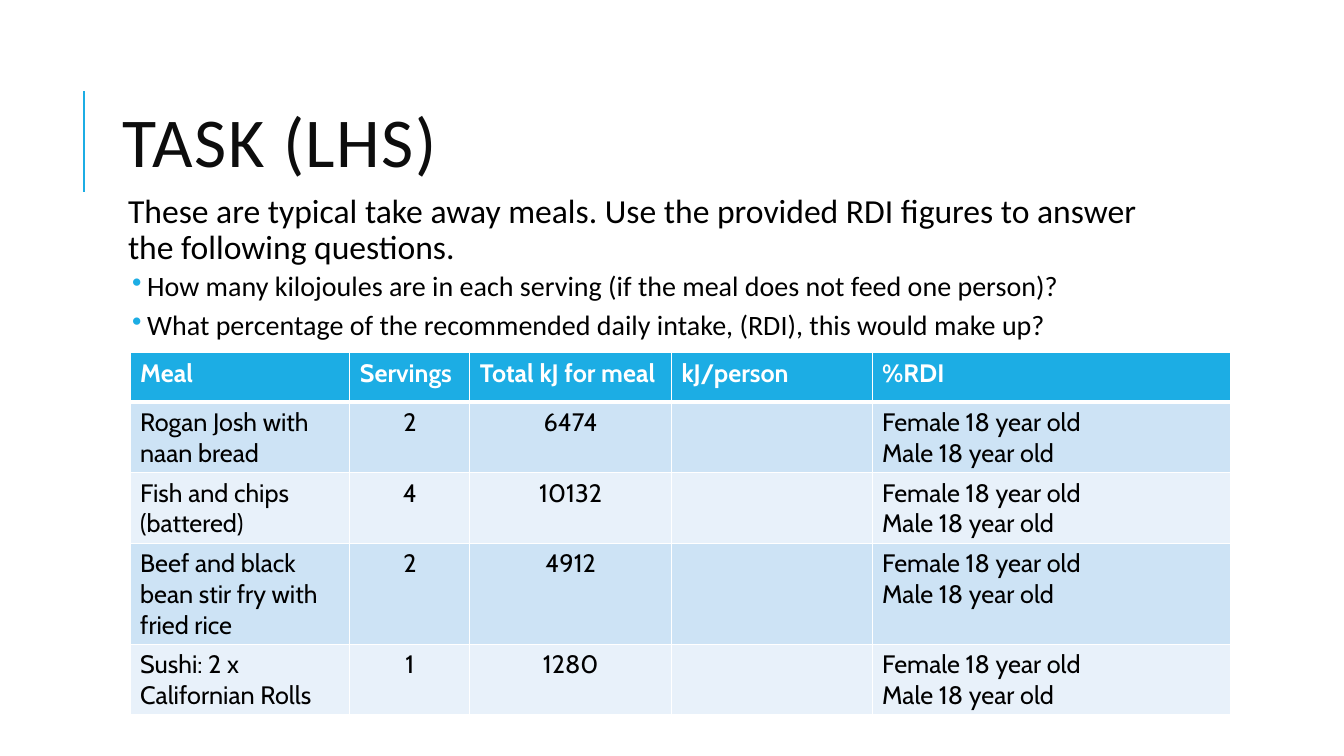
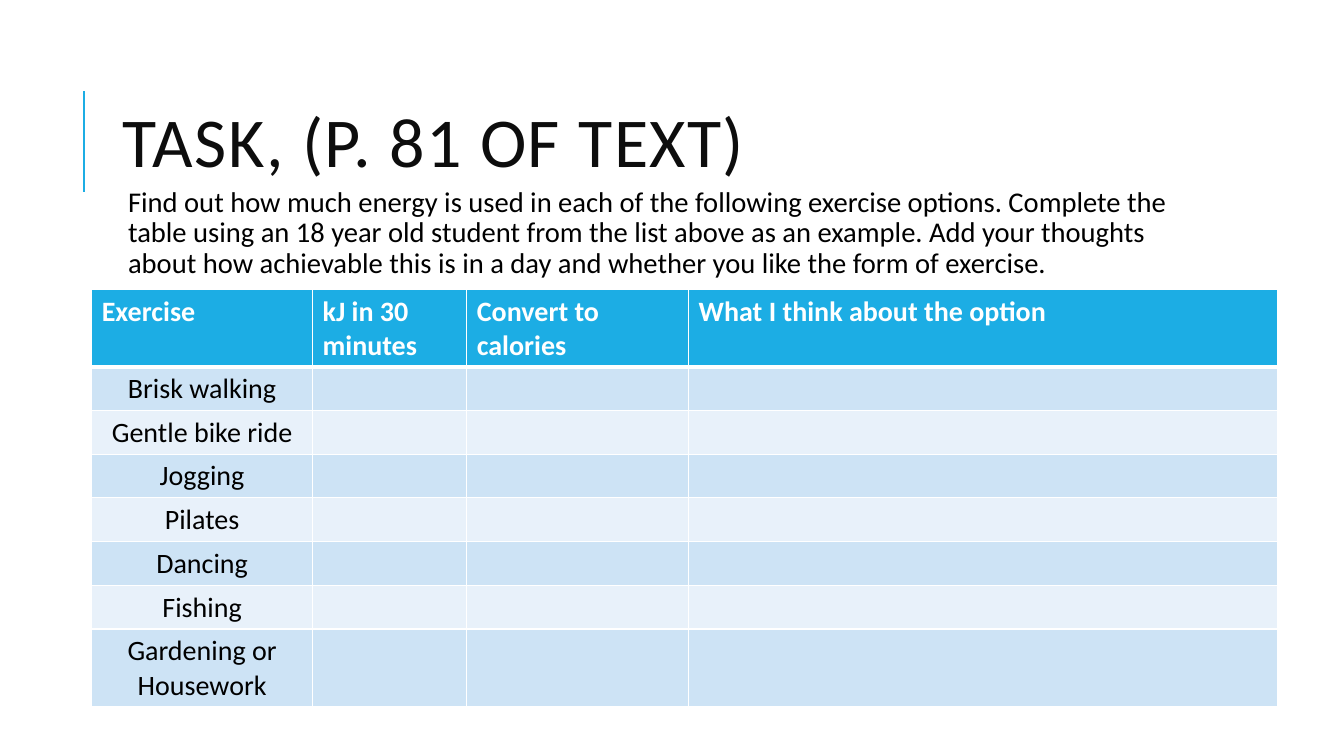
from lxml.etree import SubElement
from pptx import Presentation
from pptx.dml.color import RGBColor
from pptx.enum.shapes import MSO_CONNECTOR
from pptx.enum.text import MSO_ANCHOR, PP_ALIGN
from pptx.oxml.ns import qn
from pptx.util import Inches, Pt

ACCENT = "1CADE4"
WHITE = "FFFFFF"
BLACK = "000000"
TITLE_COLOR = "0D0D0D"
BANDS = ("CDE3F5", "E8F1FA")
BODY_FONT = "Calibri"
AGES = "Female 18 year old\nMale 18 year old"

MEAL_ROWS = [
    ("Meal", "Servings", "Total kJ for meal", "kJ/person", "%RDI"),
    ("Rogan Josh with naan bread", "2", "6474", "", AGES),
    ("Fish and chips (battered)", "4", "10132", "", AGES),
    ("Beef and black bean stir fry with fried rice", "2", "4912", "", AGES),
    ("Sushi: 2 x Californian Rolls", "1", "1280", "", AGES),
]
EXERCISES = ("Brisk walking", "Gentle bike ride", "Jogging", "Pilates",
             "Dancing", "Fishing", "Gardening or Housework")
EXERCISE_ROWS = [
    ("Exercise", "kJ in 30 minutes", "Convert to calories", "What I think about the option"),
    *((exercise, "", "", "") for exercise in EXERCISES),
]


def color(value):
    return RGBColor.from_string(value)


def add_run(paragraph, text, size, font_color, font_name=BODY_FONT, bold=False):
    run = paragraph.add_run()
    run.text = text
    run.font.size = Pt(size)
    run.font.name = font_name
    run.font.bold = bold
    run.font.color.rgb = color(font_color)
    return run


def add_text_frame(slide, left, top, width, height):
    text_frame = slide.shapes.add_textbox(
        Inches(left), Inches(top), Inches(width), Inches(height)).text_frame
    text_frame.word_wrap = True
    return text_frame


def add_titled_slide(presentation, title):
    slide = presentation.slides.add_slide(presentation.slide_layouts[6])
    rule = slide.shapes.add_connector(
        MSO_CONNECTOR.STRAIGHT, Inches(0.83), Inches(1.9), Inches(0.83), Inches(0.9))
    rule.line.color.rgb = color(ACCENT)
    rule.line.width = Pt(1.5)
    SubElement(rule._element.spPr, qn("a:effectLst"))

    text_frame = add_text_frame(slide, 1.12, 0.64, 10.63, 1.64)
    text_frame.vertical_anchor = MSO_ANCHOR.MIDDLE
    paragraph = text_frame.paragraphs[0]
    paragraph.line_spacing = 0.8
    run = add_run(paragraph, title, 50, TITLE_COLOR)
    run.font._element.set("spc", "100")
    return slide


def set_indent(paragraph, left, first_line=0):
    properties = paragraph._p.get_or_add_pPr()
    properties.set("marL", str(Inches(left)))
    properties.set("indent", str(Inches(first_line)))
    return properties


def add_bullet(text_frame, text):
    paragraph = text_frame.add_paragraph()
    paragraph.level = 1
    properties = set_indent(paragraph, 0.29, -0.15)
    bullet_color = SubElement(properties, qn("a:buClr"))
    SubElement(bullet_color, qn("a:srgbClr"), val=ACCENT)
    SubElement(properties, qn("a:buChar"), char="•")
    paragraph.line_spacing = 0.9
    paragraph.space_before = Pt(2)
    paragraph.space_after = Pt(4)
    add_run(paragraph, text, 20, BLACK)


def add_body(slide, top, width, height, intro, size, bullets=()):
    text_frame = add_text_frame(slide, 1.12, top, width, height)
    text_frame.margin_left = text_frame.margin_right = Inches(0.05)
    text_frame.margin_top = text_frame.margin_bottom = Inches(0.05)
    paragraph = text_frame.paragraphs[0]
    set_indent(paragraph, 0.1)
    paragraph.line_spacing = 0.9
    paragraph.space_after = Pt(2)
    add_run(paragraph, intro, size, BLACK)
    for bullet in bullets:
        add_bullet(text_frame, bullet)


def set_borders(cell, top, bottom):
    properties = cell._tc.get_or_add_tcPr()
    for side, width in (("L", 1), ("R", 1), ("T", top), ("B", bottom)):
        border = SubElement(properties, qn(f"a:ln{side}"), w=str(Pt(width)))
        fill = SubElement(border, qn("a:solidFill"))
        SubElement(fill, qn("a:srgbClr"), val=WHITE)


def fill_cell(cell, text, row_index, size, font_name, centered):
    header = row_index == 0
    set_borders(cell, 3 if row_index == 1 else 1, 3 if header else 1)
    cell.fill.solid()
    cell.fill.fore_color.rgb = color(ACCENT if header else BANDS[(row_index - 1) % 2])
    if not text:
        return
    for index, line in enumerate(text.split("\n")):
        text_frame = cell.text_frame
        paragraph = text_frame.add_paragraph() if index else text_frame.paragraphs[0]
        if centered and not header:
            paragraph.alignment = PP_ALIGN.CENTER
        add_run(paragraph, line, size, WHITE if header else BLACK, font_name, header)


def add_banded_table(slide, left, top, widths, heights, rows, size, font_name, centered_columns):
    table = slide.shapes.add_table(
        len(rows), len(widths), Inches(left), Inches(top),
        Inches(sum(widths)), Inches(sum(heights))).table
    for column, width in zip(table.columns, widths):
        column.width = Inches(width)
    for row, height in zip(table.rows, heights):
        row.height = Inches(height)
    for row_index, texts in enumerate(rows):
        for column_index, text in enumerate(texts):
            fill_cell(table.cell(row_index, column_index), text, row_index,
                      size, font_name, column_index in centered_columns)


def add_meal_slide(presentation):
    slide = add_titled_slide(presentation, "TASK (LHS)")
    add_body(
        slide, 1.88, 10.63, 4.4,
        "These are typical take away meals. Use the provided RDI figures to answer "
        "the following questions.", 24,
        ("How many kilojoules are in each serving (if the meal does not feed one person)?",
         "What percentage of the recommended daily intake, (RDI), this would make up?"))
    add_banded_table(slide, 1.29, 3.5, (2.18, 1.19, 2, 1.99, 3.56), [0.49] + [0.52] * 4,
                     MEAL_ROWS, 18, "Cabin", (1, 2))


def add_exercise_slide(presentation):
    slide = add_titled_slide(presentation, "TASK, (P. 81 OF TEXT)")
    add_body(
        slide, 1.81, 10.91, 1.2,
        "Find out how much energy is used in each of the following exercise options. "
        "Complete the table using an 18 year old student from the list above as an example. "
        "Add your thoughts about how achievable this is in a day and whether you like "
        "the form of exercise.", 20.4)
    add_banded_table(slide, 0.91, 2.87, (2.19, 1.53, 2.2, 5.84), [0.41] * 8,
                     EXERCISE_ROWS, 20, BODY_FONT, (0,))


def main():
    presentation = Presentation()
    presentation.slide_width = Inches(13.33)
    presentation.slide_height = Inches(7.5)
    add_meal_slide(presentation)
    add_exercise_slide(presentation)
    presentation.save("out.pptx")


if __name__ == "__main__":
    main()
